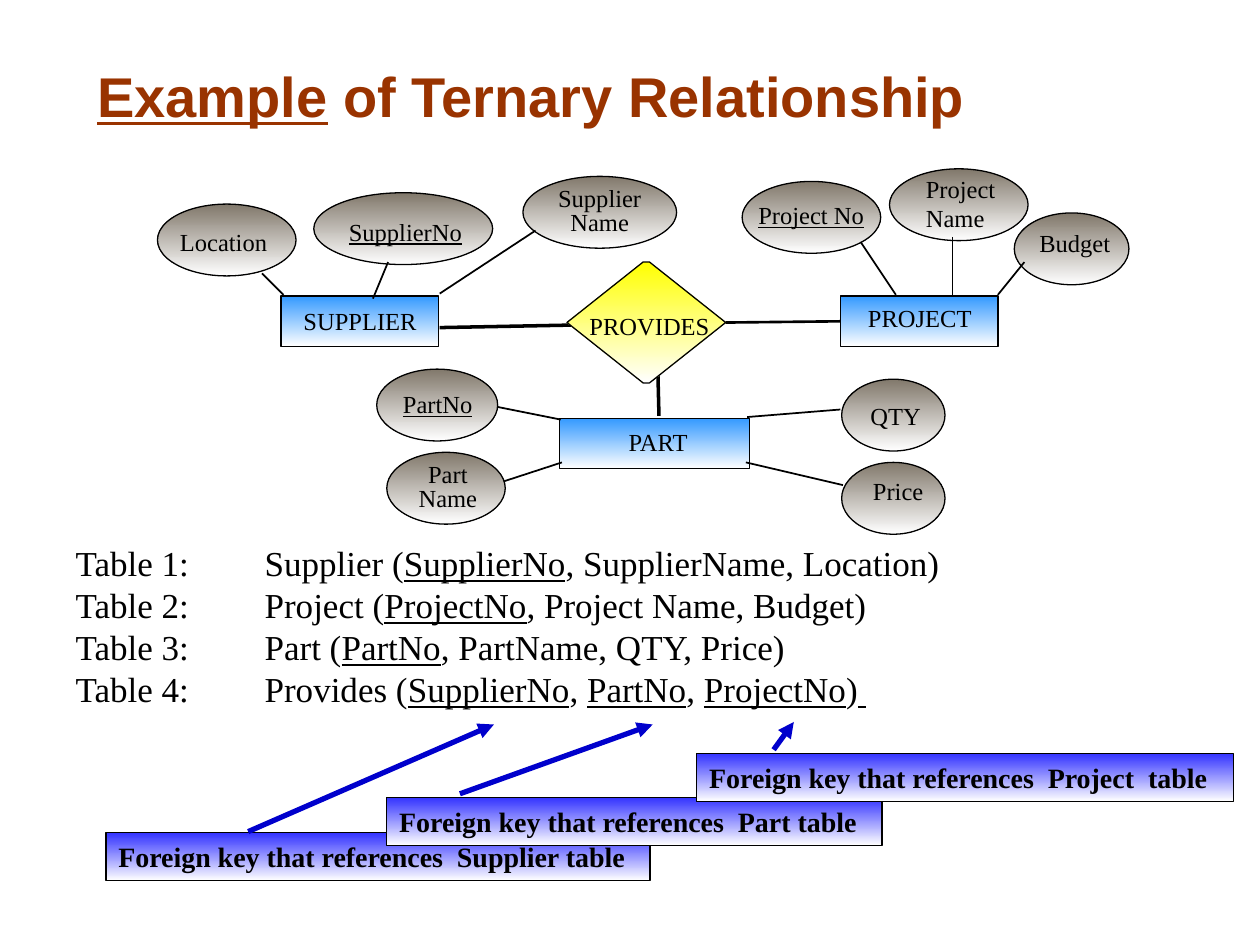
from dataclasses import dataclass
from typing import NamedTuple

from lxml.etree import SubElement
from pptx import Presentation
from pptx.dml.color import RGBColor
from pptx.enum.shapes import MSO_CONNECTOR, MSO_SHAPE
from pptx.enum.text import MSO_ANCHOR, MSO_AUTO_SIZE, PP_ALIGN
from pptx.oxml.ns import qn
from pptx.util import Inches, Pt


@dataclass(frozen=True)
class Theme:
    title_font: str = "Arial"
    text_font: str = "Times New Roman"
    title_size: int = 32
    list_size: int = 20
    key_size: int = 16
    label_size: int = 14
    outline: float = 0.75
    title: str = "993300"
    black: str = "000000"
    white: str = "FFFFFF"
    attribute: str = "81786B"
    entity: str = "3399FF"
    relationship: str = "FFFF00"
    foreign_key: str = "3333FF"
    arrow: str = "0000CC"


THEME = Theme()


class Box(NamedTuple):
    left: float
    top: float
    width: float
    height: float


class Node(NamedTuple):
    """A diagram shape; underscores in its label enclose underlined text."""
    box: Box
    label_box: Box
    label: str
    centered: bool = False


class Line(NamedTuple):
    x1: float
    y1: float
    x2: float
    y2: float
    width: float = 1


OVAL_HEIGHT, BAR_HEIGHT, LABEL_HEIGHT, PAIR_HEIGHT = 0.57, 0.4, 0.33, 0.48


def oval(left: float, top: float, width: float, label: str, label_left: float,
         label_top: float, label_width: float, centered: bool = False) -> Node:
    if centered:
        label_height = PAIR_HEIGHT
    else:
        label_height = OVAL_HEIGHT if "\n" in label else LABEL_HEIGHT
    return Node(Box(left, top, width, OVAL_HEIGHT),
                Box(label_left, label_top, label_width, label_height), label, centered)


ATTRIBUTES = [
    oval(1.25, 1.62, 1.1, "Location", 1.33, 1.75, 0.9),
    oval(2.49, 1.53, 1.42, "_SupplierNo_", 2.67, 1.67, 1.1),
    oval(4.15, 1.4, 1.22, "Supplier\nName", 4.33, 1.45, 0.86, True),
    oval(5.89, 1.44, 1.1, "_Project No_", 5.92, 1.54, 1.04),
    oval(7.06, 1.34, 1.1, "Project\nName", 7.25, 1.33, 0.76),
    oval(8.05, 1.69, 0.91, "Budget", 8.15, 1.76, 0.77),
    oval(2.99, 2.93, 0.96, "_PartNo_", 3.1, 3.04, 0.76),
    oval(3.07, 3.59, 0.94, "Part\nName", 3.22, 3.64, 0.67, True),
    oval(6.68, 3.01, 0.82, "QTY", 6.81, 3.13, 0.6),
    oval(6.68, 3.67, 0.82, "Price", 6.83, 3.73, 0.6),
]
ENTITIES = [
    Node(Box(2.23, 2.35, 1.25, BAR_HEIGHT), Box(2.31, 2.38, 1.1, LABEL_HEIGHT), "SUPPLIER"),
    Node(Box(6.67, 2.35, 1.25, BAR_HEIGHT), Box(6.79, 2.36, 1.03, LABEL_HEIGHT), "PROJECT"),
    Node(Box(4.44, 3.32, 1.51, BAR_HEIGHT), Box(4.89, 3.34, 0.67, LABEL_HEIGHT), "PART"),
]
RELATIONSHIP = Node(Box(4.5, 2.08, 1.26, 0.96), Box(4.58, 2.42, 1.16, LABEL_HEIGHT), "PROVIDES")
RELATIONSHIP_LINES = [
    Line(5.22, 2.89, 5.23, 3.3, 2),
    Line(4.54, 2.58, 3.49, 2.6, 2),
    Line(6.67, 2.55, 5.76, 2.56, 1.5),
]
ATTRIBUTE_LINES = [
    Line(2.25, 2.34, 2.08, 2.17), Line(3.08, 2.08, 2.96, 2.37),
    Line(4.25, 1.83, 3.49, 2.33), Line(6.83, 1.92, 7.11, 2.34),
    Line(7.56, 1.88, 7.56, 2.34), Line(7.92, 2.34, 8.13, 2.08),
    Line(3.95, 3.23, 4.45, 3.33), Line(4, 3.82, 4.46, 3.67),
    Line(6.67, 3.25, 5.93, 3.31), Line(5.92, 3.67, 6.69, 3.85),
]
TABLES = [
    "Table 1: \t\tSupplier (_SupplierNo_, SupplierName, Location)",
    "Table 2:\t\tProject (_ProjectNo_, Project Name, Budget)",
    "Table 3:\t\tPart (_PartNo_, PartName, QTY, Price)",
    "Table 4:\t\tProvides (_SupplierNo_, _PartNo_, _ProjectNo_)_ _",
]
FOREIGN_KEYS = [
    (Box(0.84, 6.61, 4.32, 0.38), "Supplier table", Line(1.97, 6.6, 3.92, 5.75, 3)),
    (Box(3.07, 6.33, 3.93, 0.38), "Part table", Line(3.65, 6.3, 5.18, 5.75, 3)),
    (Box(5.53, 5.98, 4.26, 0.38), "Project  table", Line(6.14, 5.95, 6.3, 5.73, 3)),
]


def lengths(box: Box) -> list:
    return [Inches(value) for value in box]


def place(shape, box: Box) -> None:
    shape.left, shape.top, shape.width, shape.height = lengths(box)


def write(paragraph, text: str, size: float, color: str = THEME.black,
          font_name: str = THEME.text_font, bold: bool = False) -> None:
    """Fill a paragraph, underlining what stands between underscores."""
    font = paragraph.font
    font.name, font.size, font.bold = font_name, Pt(size), bold
    font.color.rgb = RGBColor.from_string(color)
    for index, part in enumerate(text.split("_")):
        if part:
            run = paragraph.add_run()
            run.text = part
            if index % 2:
                run.font.underline = True


def add_gradient_shape(slide, kind: MSO_SHAPE, box: Box, color: str):
    shape = slide.shapes.add_shape(kind, *lengths(box))
    shape.shadow.inherit = False
    shape.fill.gradient()
    shape.fill.gradient_angle = 270
    for stop, stop_color in zip(shape.fill.gradient_stops, (color, THEME.white)):
        stop.color.rgb = RGBColor.from_string(stop_color)
    shape.line.color.rgb = RGBColor.from_string(THEME.black)
    shape.line.width = Pt(THEME.outline)
    return shape


def add_node(slide, kind: MSO_SHAPE, node: Node, color: str):
    shape = add_gradient_shape(slide, kind, node.box, color)
    frame = slide.shapes.add_textbox(*lengths(node.label_box)).text_frame
    frame.word_wrap = True
    frame.margin_right = 0
    if node.centered:
        frame.margin_left = 0
    for index, text in enumerate(node.label.split("\n")):
        paragraph = frame.add_paragraph() if index else frame.paragraphs[0]
        if node.centered:
            paragraph.alignment = PP_ALIGN.CENTER
            paragraph.line_spacing = 0.8
        write(paragraph, text, THEME.label_size)
    return shape


def add_line(slide, line: Line, color: str = THEME.black, arrow: bool = False) -> None:
    ends = [Inches(value) for value in line[:4]]
    connector = slide.shapes.add_connector(MSO_CONNECTOR.STRAIGHT, *ends)
    connector.line.color.rgb = RGBColor.from_string(color)
    connector.line.width = Pt(line.width)
    if arrow:
        SubElement(connector.line._get_or_add_ln(), qn("a:tailEnd"), type="triangle")
    SubElement(connector._element.spPr, qn("a:effectLst"))


def fill_table_list(body) -> None:
    place(body, Box(0.5, 4.25, 9.27, 1.43))
    frame = body.text_frame
    frame.auto_size = MSO_AUTO_SIZE.NONE
    for index, text in enumerate(TABLES):
        paragraph = frame.add_paragraph() if index else frame.paragraphs[0]
        paragraph.space_before = Pt(0)
        properties = paragraph._p.get_or_add_pPr()
        properties.set("marL", "0")
        properties.set("indent", "0")
        SubElement(properties, qn("a:buNone"))
        tabs = SubElement(properties, qn("a:tabLst"))
        for position in (1, 2):
            SubElement(tabs, qn("a:tab"), pos=str(Inches(position)), algn="l")
        write(paragraph, text, THEME.list_size)


def main() -> None:
    presentation = Presentation()
    presentation.slide_width, presentation.slide_height = Inches(10), Inches(7.5)
    slide = presentation.slides.add_slide(presentation.slide_layouts[1])

    title = slide.shapes.title
    place(title, Box(0.67, 0.18, 9.08, 1.15))
    title.text_frame.vertical_anchor = MSO_ANCHOR.MIDDLE
    heading = title.text_frame.paragraphs[0]
    heading.alignment = PP_ALIGN.LEFT
    write(heading, "_Example_ of Ternary Relationship", THEME.title_size,
          THEME.title, THEME.title_font, bold=True)
    fill_table_list(slide.placeholders[1])

    for line in RELATIONSHIP_LINES:
        add_line(slide, line)
    for node in ATTRIBUTES:
        add_node(slide, MSO_SHAPE.OVAL, node, THEME.attribute)
    for node in ENTITIES:
        add_node(slide, MSO_SHAPE.RECTANGLE, node, THEME.entity)
    diamond = add_node(slide, MSO_SHAPE.HEXAGON, RELATIONSHIP, THEME.relationship)
    diamond.adjustments[0] = 0.63
    for line in ATTRIBUTE_LINES:
        add_line(slide, line)

    for box, target, arrow in FOREIGN_KEYS:
        bar = add_gradient_shape(slide, MSO_SHAPE.RECTANGLE, box, THEME.foreign_key)
        paragraph = bar.text_frame.paragraphs[0]
        paragraph.alignment = PP_ALIGN.LEFT
        write(paragraph, f"Foreign key that references  {target}", THEME.key_size, bold=True)
        add_line(slide, arrow, THEME.arrow, arrow=True)
    presentation.save("out.pptx")


if __name__ == "__main__":
    main()
